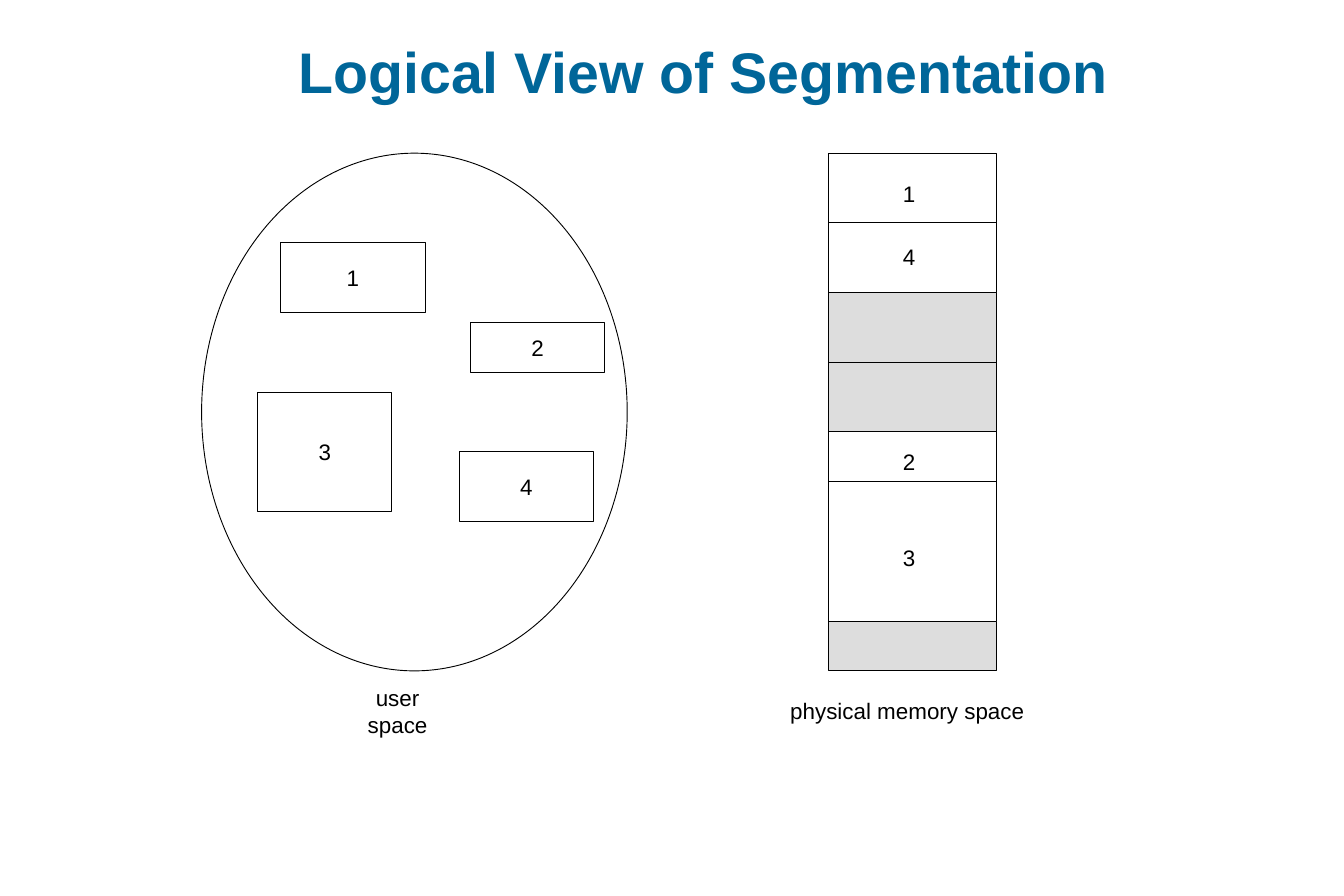
"""Build the slide comparing user space segments with physical memory."""
from lxml import etree
from pptx import Presentation
from pptx.dml.color import RGBColor
from pptx.enum.shapes import MSO_CONNECTOR, MSO_SHAPE
from pptx.enum.text import MSO_ANCHOR, PP_ALIGN
from pptx.oxml.ns import qn
from pptx.util import Inches, Pt

OVAL, RECTANGLE = MSO_SHAPE.OVAL, MSO_SHAPE.RECTANGLE
STRAIGHT = MSO_CONNECTOR.STRAIGHT
MIDDLE, BOTTOM = MSO_ANCHOR.MIDDLE, MSO_ANCHOR.BOTTOM
CENTER = PP_ALIGN.CENTER
LEFT_SIDE, RIGHT_SIDE = 1, 3
COLORS = {"title": "006699", "ink": "000000", "used": "FFFFFF", "free": "DDDDDD"}

COLUMN, ROW = Inches(1 / 8), Inches(1 / 9)
TOP = Inches(1.71)
MEMORY_LEFT, MEMORY_WIDTH, MEMORY_MIDDLE = 74, 15, 81
LINE_WIDTH = Pt(0.75)

prs = Presentation()
prs.slide_width, prs.slide_height = Inches(15), Inches(10)
slide = prs.slides.add_slide(prs.slide_layouts[6])


def write(holder, text, size=18, color="ink", bold=False, anchor=MIDDLE, wrap=False):
    frame = holder.text_frame
    frame.text = text
    frame.word_wrap = wrap
    frame.vertical_anchor = anchor
    frame.margin_left = frame.margin_right = Inches(0.14)
    frame.margin_top = frame.margin_bottom = Inches(0.07)
    paragraph = frame.paragraphs[0]
    paragraph.alignment = CENTER
    font = paragraph.runs[0].font
    font.name, font.size, font.bold = "Arial", Pt(size), bold
    font.color.rgb = RGBColor.from_string(COLORS[color])


def outline(kind, column, row, columns, rows, fill="used"):
    area = slide.shapes.add_shape(
        kind, column * COLUMN, TOP + row * ROW, columns * COLUMN, rows * ROW)
    area.shadow.inherit = False
    area.fill.solid()
    area.fill.fore_color.rgb = RGBColor.from_string(COLORS[fill])
    area.line.color.rgb = RGBColor.from_string(COLORS["ink"])
    area.line.width = LINE_WIDTH
    return area


title = slide.shapes.add_textbox(Inches(1.45), Inches(0.4), Inches(12.8), Inches(0.84))
write(title, "Logical View of Segmentation", 46, "title", True, BOTTOM, True)

outline(OVAL, 18, 0, 38, 52)
segments = [
    ("1", 25, 9, 13, 7),
    ("3", 23, 24, 12, 12),
    ("2", 42, 17, 12, 5),
    ("4", 41, 30, 12, 7),
]
for number, *place in segments:
    write(outline(RECTANGLE, *place), number)

memory_blocks = [
    (0, 14, "used", 7),
    (14, 14, "free", 7),
    (28, 19, "used", 5),
    (47, 5, "free", None),
]
for start, rows, fill, split in memory_blocks:
    block = outline(RECTANGLE, MEMORY_LEFT, start, MEMORY_WIDTH, rows, fill)
    if split is None:
        continue
    level = TOP + (start + split) * ROW
    divider = slide.shapes.add_connector(
        STRAIGHT, block.left, level, block.left + block.width, level)
    divider.line.color.rgb = RGBColor.from_string(COLORS["ink"])
    divider.line.width = LINE_WIDTH
    etree.SubElement(divider.line._get_or_add_ln().getparent(), qn("a:effectLst"))
    if split * 2 == rows:
        divider.begin_connect(block, LEFT_SIDE)
        divider.end_connect(block, RIGHT_SIDE)

labels = [
    ("1", MEMORY_MIDDLE, 4, 3, 4),
    ("4", MEMORY_MIDDLE, 10.4, 3, 4),
    ("2", MEMORY_MIDDLE, 31, 3, 4),
    ("3", MEMORY_MIDDLE, 40.6, 3, 4),
    ("user space", 35.5, 56, 12, 4),
    ("physical memory space", MEMORY_MIDDLE, 56, 23.5, 4),
]
for text, middle, center, columns, rows in labels:
    label = slide.shapes.add_textbox(
        int((middle - columns / 2) * COLUMN), int(TOP + (center - rows / 2) * ROW),
        int(columns * COLUMN), rows * ROW)
    write(label, text)

prs.save("out.pptx")
